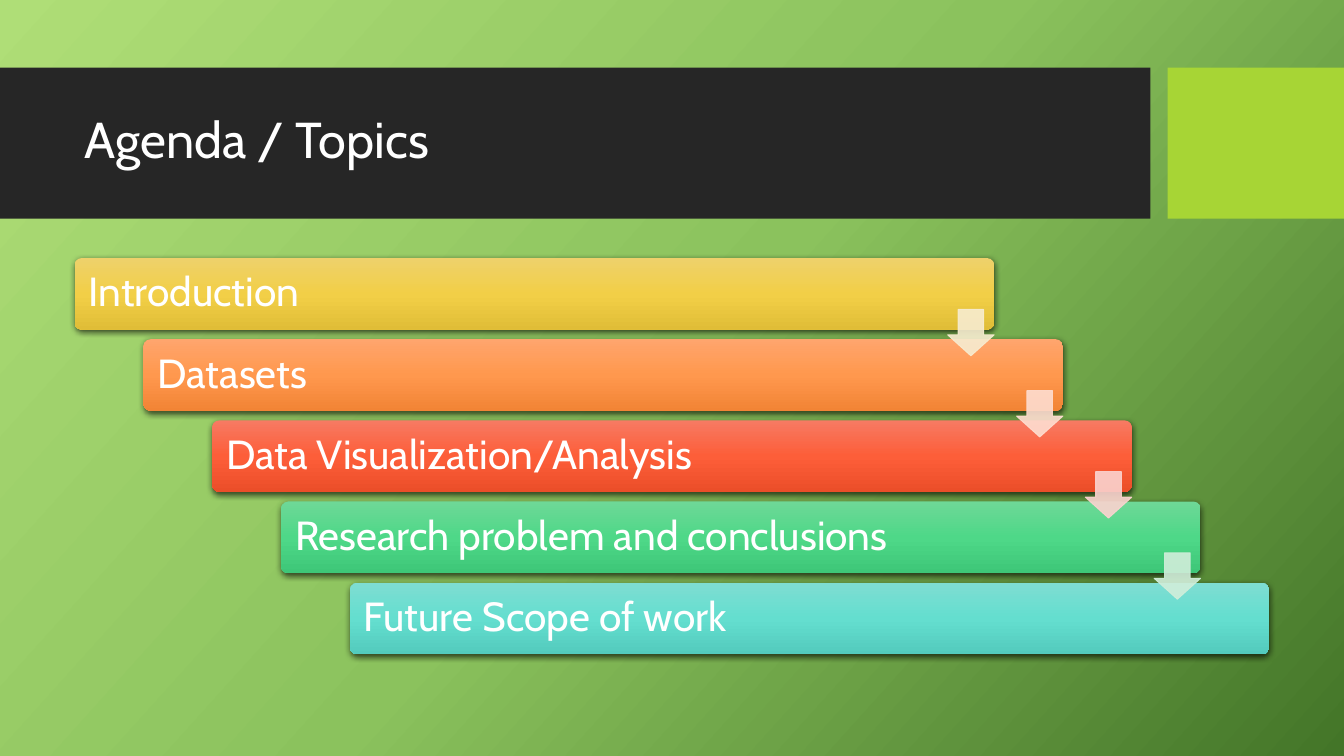
from lxml.etree import SubElement as Sub
from pptx import Presentation
from pptx.dml.color import RGBColor
from pptx.enum.shapes import MSO_SHAPE as Kind
from pptx.enum.text import MSO_ANCHOR as Anchor
from pptx.oxml.ns import qn
from pptx.util import Inches, Pt

FONT = "Cabin"
WHITE = "FFFFFF"
TOPICS = [
    ("Introduction", ("EED16B", "F2CF47", "E0BD37"), "F7ECD0"),
    ("Datasets", ("FFA56D", "FF984E", "F28435"), "FEDDD0"),
    ("Data Visualization/Analysis", ("F77A63", "FD5E39", "EB4E29"), "FBD3CF"),
    ("Research problem and conclusions", ("6ED897", "4ED888", "3EC778"), "D1EEDA"),
    ("Future Scope of work", ("7EDDD2", "64DECF", "53CBBD"), None),
]


def color(code):
    return RGBColor.from_string(code)


def blend(owner, fill, codes, angle):
    fill.gradient()
    grad = next(owner.element.iter(qn("a:gradFill")))
    for part in list(grad):
        grad.remove(part)
    stops = Sub(grad, qn("a:gsLst"))
    for pos, code in zip((0, 50000, 100000), codes):
        stop = Sub(stops, qn("a:gs"), pos=str(pos))
        Sub(stop, qn("a:srgbClr"), val=code)
    Sub(grad, qn("a:lin"), ang=str(angle * 60000), scaled="0")


def shade(shape):
    shape.shadow.inherit = False
    effects = shape.element.spPr.find(qn("a:effectLst"))
    outer = Sub(effects, qn("a:outerShdw"), blurRad=str(Pt(4.5)), dist=str(Pt(1.5)),
                dir="5400000", algn="ctr", rotWithShape="0")
    black = Sub(outer, qn("a:srgbClr"), val="000000")
    Sub(black, qn("a:alpha"), val="63000")


def block(slide, kind, box, code=None):
    shape = slide.shapes.add_shape(kind, *map(Inches, box))
    shape.shadow.inherit = False
    shape.line.fill.background()
    if code:
        shape.fill.solid()
        shape.fill.fore_color.rgb = color(code)
    return shape


def label(slide, box, text, size, inset):
    frame = slide.shapes.add_textbox(*map(Inches, box)).text_frame
    frame.word_wrap = True
    frame.vertical_anchor = Anchor.MIDDLE
    frame.margin_left = frame.margin_right = Inches(inset)
    frame.margin_top = frame.margin_bottom = Inches(inset)
    frame.text = text
    para = frame.paragraphs[0]
    para.line_spacing = 0.9
    font = para.runs[0].font
    font.name, font.size = FONT, Pt(size)
    font.color.rgb = color(WHITE)


def header(slide, left, top, width, height):
    tab = 1.75
    block(slide, Kind.RECTANGLE, (left, top, width - tab - 0.17, height), "262626")
    block(slide, Kind.RECTANGLE, (left + width - tab, top, tab, height), "A7D535")
    label(slide, (left + 0.74, top + 0.15, 10.51, 1.18), "Agenda / Topics", 36, 0.1)


def arrow(slide, left, top, size, code):
    shape = block(slide, Kind.DOWN_ARROW, (left, top, size, size), code)
    shape.adjustments[0], shape.adjustments[1] = 0.55, 0.45
    shape.line.color.rgb = color(code)
    shape.line.width = Pt(0.75)
    for tint in shape.element.spPr.iter(qn("a:srgbClr")):
        Sub(tint, qn("a:alpha"), val="90000")


def stairs(slide, left, top, width, height):
    wide, high, size = 9.12, 0.71, 0.46
    gaps = len(TOPICS) - 1
    across, down = (width - wide) / gaps, (height - high) / gaps
    spots = [(left + i * across, top + i * down) for i in range(len(TOPICS))]
    for (x, y), (text, codes, _) in zip(spots, TOPICS):
        bar = block(slide, Kind.ROUNDED_RECTANGLE, (x, y, wide, high))
        bar.adjustments[0] = 0.1
        blend(bar, bar.fill, codes, 90)
        shade(bar)
        label(slide, (x + 0.02, y + 0.02, 7.94, high - 0.04), text, 29, 0.12)
    for (x, y), (_, _, code) in zip(spots, TOPICS):
        if code:
            arrow(slide, x + wide - size, y + 0.51, size, code)


def main():
    deck = Presentation()
    deck.slide_width, deck.slide_height = Inches(13.33), Inches(7.5)
    slide = deck.slides.add_slide(deck.slide_layouts[6])
    blend(slide, slide.background.fill, ("AFDE77", "8BC25D", "437528"), 42)
    header(slide, 0, 0.67, 13.33, 1.5)
    stairs(slide, 0.74, 2.56, 11.85, 3.93)
    deck.save("out.pptx")


if __name__ == "__main__":
    main()
